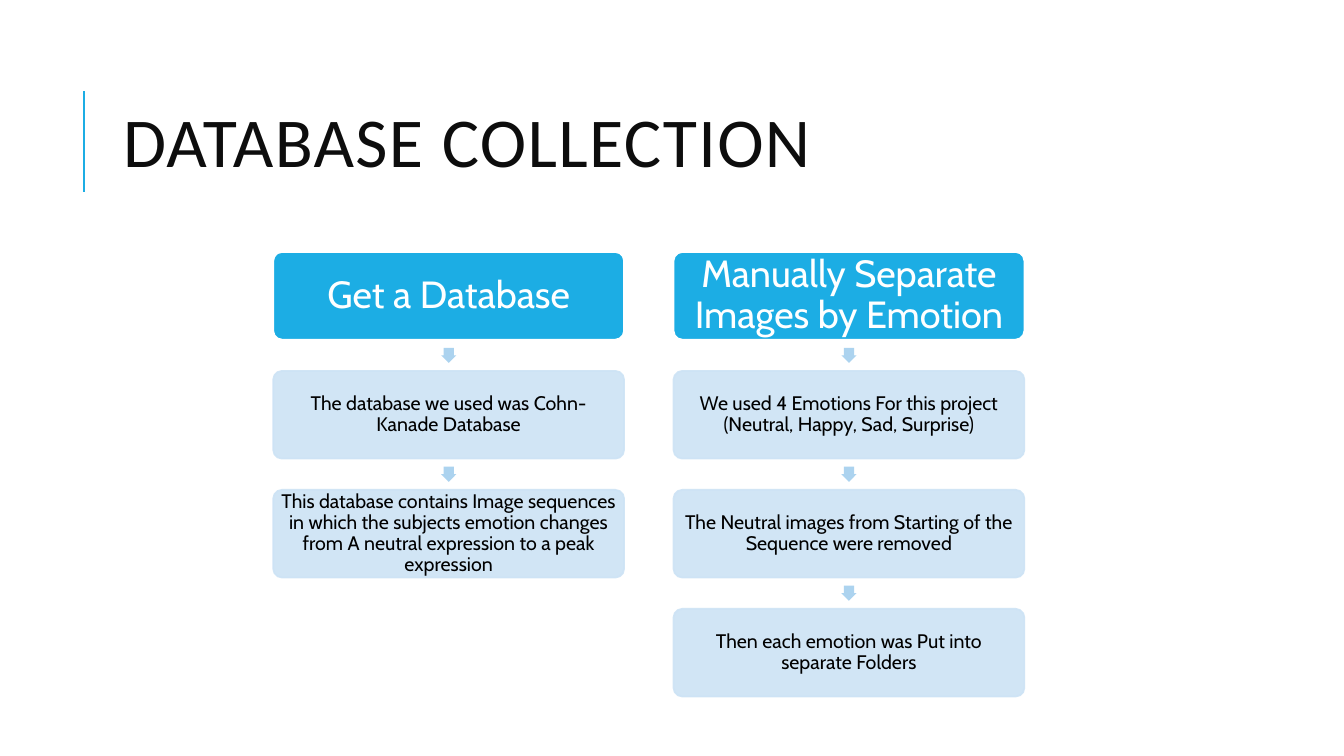
from lxml import etree
from pptx import Presentation
from pptx.dml.color import RGBColor
from pptx.enum.shapes import MSO_CONNECTOR, MSO_SHAPE
from pptx.enum.text import MSO_ANCHOR, MSO_AUTO_SIZE, PP_ALIGN
from pptx.oxml.ns import qn
from pptx.util import Inches, Pt

TITLE = "DATABASE COLLECTION"
STAGES = [
    ("Get a Database", [
        "The database we used was Cohn-Kanade Database",
        "This database contains Image sequences in which the subjects emotion "
        "changes from A neutral expression to a peak expression",
    ]),
    ("Manually Separate Images by Emotion", [
        "We used 4 Emotions For this project (Neutral, Happy, Sad, Surprise)",
        "The Neutral images from Starting of the Sequence were removed",
        "Then each emotion was Put into separate Folders",
    ]),
]

BLUE = RGBColor(0x1C, 0xAD, 0xE4)
PALE_BLUE = RGBColor(0xCD, 0xE3, 0xF5)
ARROW_BLUE = RGBColor(0xAC, 0xD3, 0xEF)
WHITE = RGBColor(0xFF, 0xFF, 0xFF)
BLACK = RGBColor(0, 0, 0)
TITLE_BLACK = RGBColor(0x0D, 0x0D, 0x0D)

LEFT, TOP = 2.71, 2.5
BOX_WIDTH, BOX_HEIGHT = 3.48, 0.87
COLUMN_PITCH, ROW_PITCH = 3.97, 1.18
ARROW_SIZE, ARROW_GAP = 0.15, 0.08


def write_text(shape, text, *, size, color, font="Cabin", align=PP_ALIGN.CENTER,
               line_spacing=0.9, inset=None):
    frame = shape.text_frame
    frame.word_wrap = True
    frame.auto_size = MSO_AUTO_SIZE.NONE
    frame.vertical_anchor = MSO_ANCHOR.MIDDLE
    if inset is not None:
        frame.margin_left = frame.margin_right = Inches(inset)
        frame.margin_top = frame.margin_bottom = Inches(inset)
    paragraph = frame.paragraphs[0]
    paragraph.alignment = align
    paragraph.line_spacing = line_spacing
    run = paragraph.add_run()
    run.text = text
    run.font.name = font
    run.font.size = Pt(size)
    run.font.color.rgb = color
    return run


def set_opacity(color_format_parent, percent):
    for color in color_format_parent.iter(qn("a:srgbClr")):
        etree.SubElement(color, qn("a:alpha")).set("val", str(percent * 1000))


def add_box(slide, left, top, text, *, fill, line, inset, opacity=100, **text_format):
    box = slide.shapes.add_shape(MSO_SHAPE.ROUNDED_RECTANGLE, Inches(left), Inches(top),
                                 Inches(BOX_WIDTH), Inches(BOX_HEIGHT))
    box.adjustments[0] = 0.1
    box.shadow.inherit = False
    box.fill.solid()
    box.fill.fore_color.rgb = fill
    box.line.color.rgb = line
    box.line.width = Pt(1.25)
    if opacity < 100:
        set_opacity(box.element.spPr, opacity)
    write_text(box, text, inset=inset, **text_format)


def add_down_arrow(slide, left, top):
    arrow = slide.shapes.add_shape(MSO_SHAPE.RIGHT_ARROW, Inches(left), Inches(top),
                                   Inches(ARROW_SIZE), Inches(ARROW_SIZE))
    arrow.rotation = 90
    arrow.adjustments[0] = 0.667
    arrow.adjustments[1] = 0.5
    arrow.shadow.inherit = False
    arrow.fill.solid()
    arrow.fill.fore_color.rgb = ARROW_BLUE
    arrow.line.fill.background()


def add_title(slide):
    accent = slide.shapes.add_connector(MSO_CONNECTOR.STRAIGHT, Inches(0.83), Inches(1.9),
                                        Inches(0.83), Inches(0.9))
    accent.line.color.rgb = BLUE
    accent.line.width = Pt(1.5)
    etree.SubElement(accent.element.spPr, qn("a:effectLst"))

    title = slide.shapes.title
    title.left, title.top = Inches(1.12), Inches(0.64)
    title.width, title.height = Inches(10.63), Inches(1.64)
    run = write_text(title, TITLE, size=50, color=TITLE_BLACK, font="Calibri",
                     align=PP_ALIGN.LEFT, line_spacing=0.8)
    run.font._element.set("spc", "100")


def add_stage(slide, left, heading, steps):
    add_box(slide, left, TOP, heading, fill=BLUE, line=WHITE, inset=0.06,
            size=27, color=WHITE)
    arrow_left = left + (BOX_WIDTH - ARROW_SIZE) / 2
    for row, step in enumerate(steps, start=1):
        top = TOP + row * ROW_PITCH
        add_down_arrow(slide, arrow_left, top - ARROW_GAP - ARROW_SIZE)
        add_box(slide, left, top, step, fill=PALE_BLUE, line=PALE_BLUE, inset=0.04,
                opacity=90, size=14, color=BLACK)


def main():
    presentation = Presentation()
    presentation.slide_width = Inches(13.33)
    presentation.slide_height = Inches(7.5)
    slide = presentation.slides.add_slide(presentation.slide_layouts[5])
    add_title(slide)
    for column, (heading, steps) in enumerate(STAGES):
        add_stage(slide, LEFT + column * COLUMN_PITCH, heading, steps)
    presentation.save("out.pptx")


if __name__ == "__main__":
    main()
